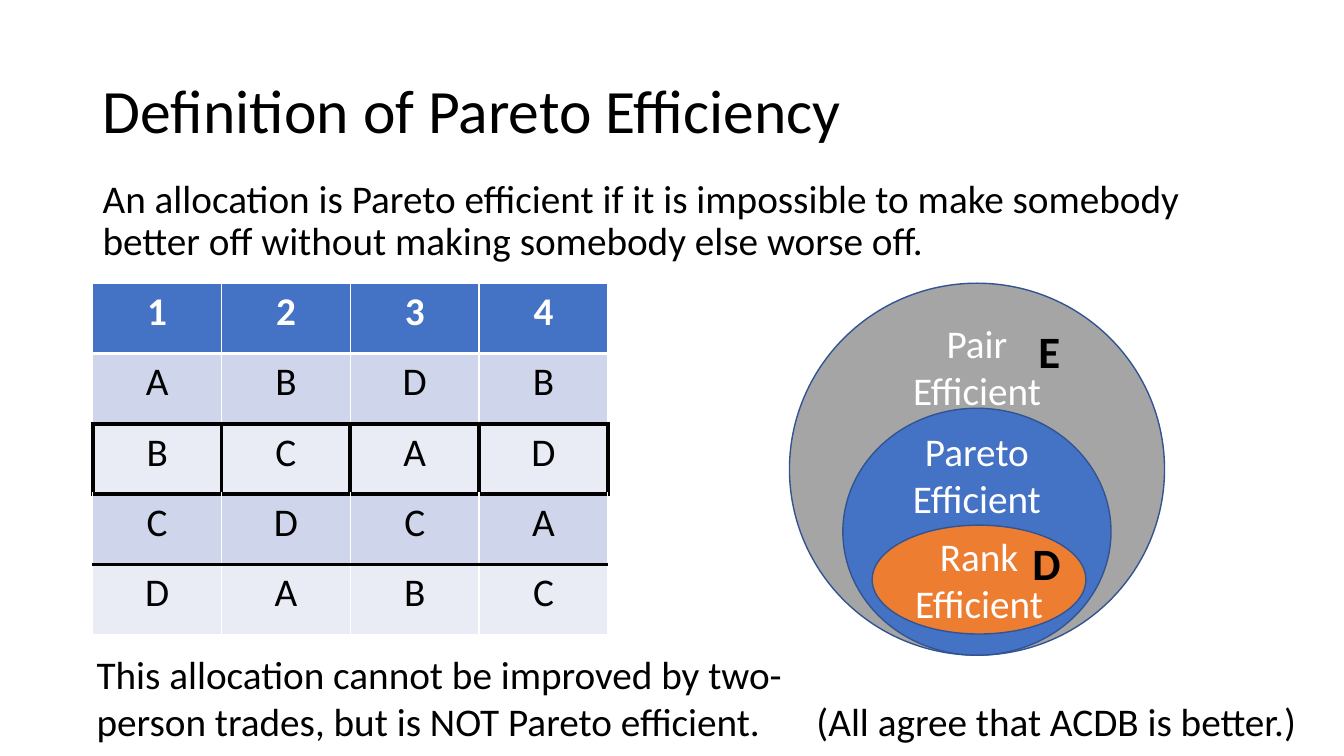
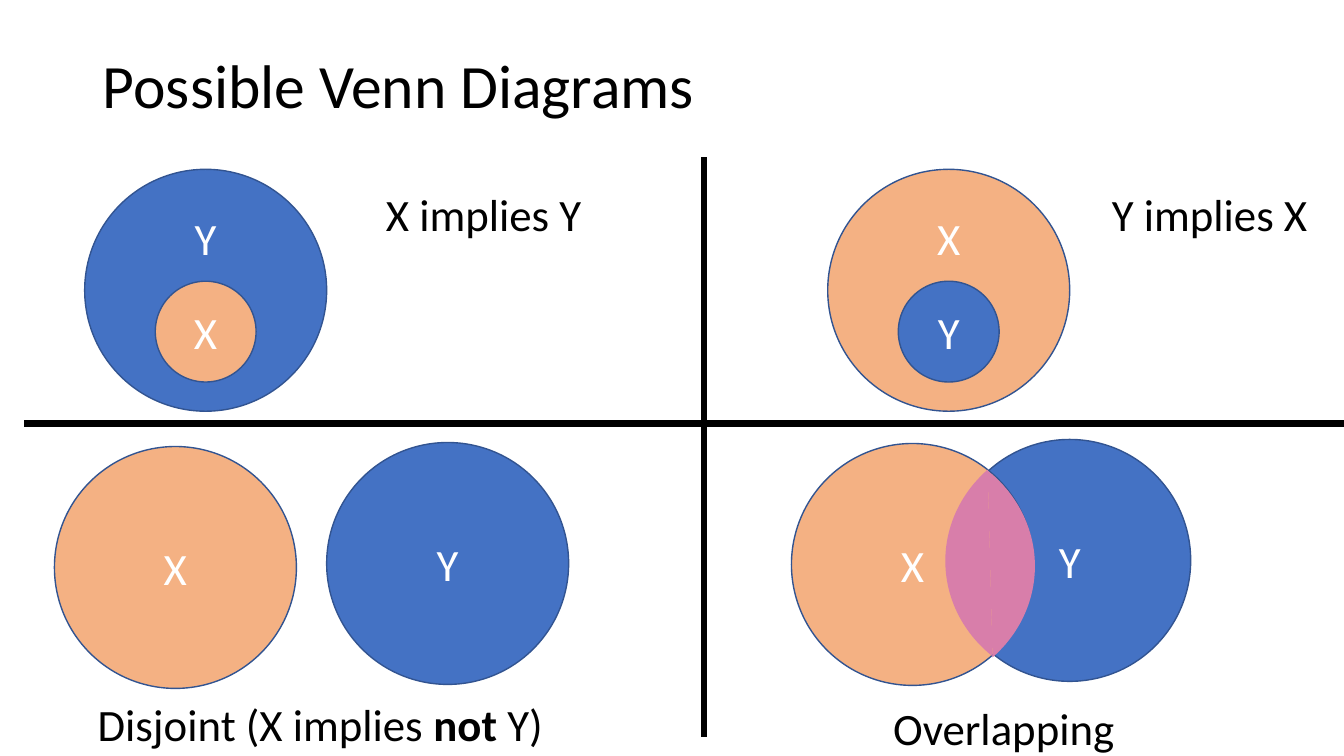
import pptx
import pptx.util
import pptx.dml.color
import pptx.enum.shapes
import pptx.enum.text
import pptx.oxml
import pptx.oxml.ns

BLACK = pptx.dml.color.RGBColor(0x00, 0x00, 0x00)
WHITE = pptx.dml.color.RGBColor(0xFF, 0xFF, 0xFF)
BLUE = pptx.dml.color.RGBColor(0x44, 0x72, 0xC4)
OUTLINE = pptx.dml.color.RGBColor(0x32, 0x54, 0x91)
GRAY = pptx.dml.color.RGBColor(0xA5, 0xA5, 0xA5)
ORANGE = pptx.dml.color.RGBColor(0xED, 0x7D, 0x31)
PEACH = pptx.dml.color.RGBColor(0xF4, 0xB1, 0x83)
PINK = pptx.dml.color.RGBColor(0xD8, 0x7E, 0xAA)
DARK_BAND = pptx.dml.color.RGBColor(0xCF, 0xD5, 0xEA)
LIGHT_BAND = pptx.dml.color.RGBColor(0xE9, 0xEB, 0xF5)
FONT = "Calibri"
SHAPES = pptx.enum.shapes.MSO_SHAPE
CENTER = pptx.enum.text.PP_ALIGN.CENTER
MIDDLE = pptx.enum.text.MSO_ANCHOR.MIDDLE

presentation = pptx.Presentation()
presentation.slide_width = pptx.util.Inches(13.33)
presentation.slide_height = pptx.util.Inches(7.5)
UNIT = presentation.slide_height / 75


def grid(*cells):
    return [round(cell * UNIT) for cell in cells]


def write(frame, paragraphs, size, color=BLACK, bold=False, alignment=None):
    for index, text in enumerate(paragraphs):
        paragraph = frame.add_paragraph() if index else frame.paragraphs[0]
        paragraph.text = text
        paragraph.alignment = alignment
        paragraph.font.name = FONT
        paragraph.font.size = pptx.util.Pt(size)
        paragraph.font.bold = bold
        paragraph.font.color.rgb = color


slides = []
for title_text, title_height in [("Definition of Pareto Efficiency", 14.5),
                                 ("Possible Venn Diagrams", 9.6)]:
    slide = presentation.slides.add_slide(presentation.slide_layouts[5])
    title = slide.shapes.title
    title.left, title.top, title.width, title.height = grid(9.2, 4, 115, title_height)
    title.text_frame.auto_size = pptx.enum.text.MSO_AUTO_SIZE.NONE
    title.text_frame.vertical_anchor = MIDDLE
    write(title.text_frame, [title_text], 44, alignment=pptx.enum.text.PP_ALIGN.LEFT)
    title.text_frame.paragraphs[0].line_spacing = 0.9
    slides.append(slide)
pareto_slide, venn_slide = slides

# Each ellipse: box, fill, lines of text, size, how far its text sits above the centre.
ellipses = [
    (pareto_slide, (78.3, 28.1, 37.2, 36.9), GRAY, ["Pair", "Efficient"], 28, 10.2),
    (pareto_slide, (83.6, 40.5, 26.6, 24.5), BLUE, ["Pareto Efficient"], 28, 5.7),
    (pareto_slide, (86.5, 52.1, 21.2, 10.8), ORANGE, ["Rank Efficient"], 28, 0),
    (venn_slide, (32.4, 43.9, 24, 24), BLUE, ["Y"], 32, 0),
    (venn_slide, (5.4, 44.3, 24, 24), PEACH, ["X"], 32, 0),
    (venn_slide, (8.4, 16.8, 24, 24), BLUE, ["Y"], 32, 5.2),
    (venn_slide, (15.4, 27.9, 10, 10), PEACH, ["X"], 32, 0),
    (venn_slide, (82.1, 16.8, 24, 24), PEACH, ["X"], 32, 5.2),
    (venn_slide, (89.1, 27.9, 10, 10), BLUE, ["Y"], 32, 0),
    (venn_slide, (94.1, 43.6, 24, 24), BLUE, ["Y"], 32, 0),
    (venn_slide, (78.5, 44, 24, 24), PEACH, ["X"], 32, 0),
]
for slide, box, color, lines, size, rise in ellipses:
    ellipse = slide.shapes.add_shape(SHAPES.OVAL, *grid(*box))
    ellipse.shadow.inherit = False
    ellipse.fill.solid()
    ellipse.fill.fore_color.rgb = color
    ellipse.line.color.rgb = OUTLINE
    ellipse.line.width = pptx.util.Pt(1)
    frame = ellipse.text_frame
    frame.word_wrap = True
    frame.vertical_anchor = MIDDLE
    frame.margin_bottom = grid(0.5 + 2 * rise)[0]
    write(frame, lines, size, WHITE, alignment=CENTER)

for box, rotation in [((94.6, 42.4, 24.8, 26.5), 90), ((77, 42.9, 24.8, 26.5), 270)]:
    overlap = venn_slide.shapes.add_shape(SHAPES.CHORD, *grid(*box))
    overlap.shadow.inherit = False
    overlap.rotation = rotation
    overlap.adjustments[0] = 25.29
    overlap.adjustments[1] = 81.05
    overlap.fill.solid()
    overlap.fill.fore_color.rgb = PINK
    overlap.line.fill.background()

preferences = ["1234", "ABDB", "BCAD", "CDCA", "DABC"]
row_fills = [BLUE, DARK_BAND, LIGHT_BAND, DARK_BAND, LIGHT_BAND]
row_edges = [(WHITE, 1), (WHITE, 3), (BLACK, 3), (BLACK, 3), (BLACK, 3), (WHITE, 1)]
table = pareto_slide.shapes.add_table(5, 4, *grid(9.2, 28.1, 51.1, 34.9)).table
for row, letters in enumerate(preferences):
    side = (BLACK, 3) if row == 2 else (WHITE, 1)
    borders = [("L", side), ("R", side), ("T", row_edges[row]), ("B", row_edges[row + 1])]
    for column, letter in enumerate(letters):
        cell = table.cell(row, column)
        cell.fill.solid()
        cell.fill.fore_color.rgb = row_fills[row]
        write(cell.text_frame, [letter], 28, BLACK if row else WHITE, row == 0, CENTER)
        properties = cell._tc.get_or_add_tcPr()
        for position, (edge, (color, width)) in enumerate(borders):
            properties.insert(position, pptx.oxml.parse_xml(
                f'<a:ln{edge} {pptx.oxml.ns.nsdecls("a")} w="{pptx.util.Pt(width)}">'
                f'<a:solidFill><a:srgbClr val="{color}"/></a:solidFill></a:ln{edge}>'))

definition = ("An allocation is Pareto efficient if it is impossible to make somebody "
              "better off without making somebody else worse off.")
finding = ("This allocation cannot be improved by two-person trades, "
           "but is NOT Pareto efficient.")
labels = [
    (pareto_slide, (9.2, 17.3, 115, 10.4), definition, 28, False, 0.9),
    (pareto_slide, (8.6, 64, 75, 10.4), finding, 28, False, 1),
    (pareto_slide, (80, 68.7, 75, 5.7), "(All agree that ACDB is better.)", 28, False, 1),
    (pareto_slide, (101.4, 52.7, 4.8, 6.4), "D", 32, True, 1),
    (pareto_slide, (102, 31.6, 4.2, 6.4), "E", 32, True, 1),
    (venn_slide, (37.3, 18, 24, 6.4), "X implies Y", 32, False, 1),
    (venn_slide, (109.3, 18, 24, 6.4), "Y implies X", 32, False, 1),
    (venn_slide, (87.6, 69, 26, 6.4), "Overlapping", 32, False, 1),
]
for slide, box, text, size, bold, spacing in labels:
    label = slide.shapes.add_textbox(*grid(*box))
    label.text_frame.word_wrap = len(text) > 1
    write(label.text_frame, [text], size, bold=bold)
    label.text_frame.paragraphs[0].line_spacing = spacing

disjoint = venn_slide.shapes.add_textbox(*grid(8.7, 68.6, 67.5, 6.4))
disjoint.text_frame.word_wrap = True
write(disjoint.text_frame, ["Disjoint (X implies "], 32)
for text, bold in [("not", True), (" Y)", False)]:
    run = disjoint.text_frame.paragraphs[0].add_run()
    run.text = text
    run.font.bold = bold

for ends in [(2.4, 42, 133.3, 42), (69.8, 73.1, 69.8, 15.6)]:
    divider = venn_slide.shapes.add_connector(
        pptx.enum.shapes.MSO_CONNECTOR.STRAIGHT, *grid(*ends))
    divider.line.color.rgb = BLACK
    divider.line.width = pptx.util.Pt(4.5)
    divider._element.spPr.append(
        pptx.oxml.parse_xml(f'<a:effectLst {pptx.oxml.ns.nsdecls("a")}/>'))

presentation.save("out.pptx")
